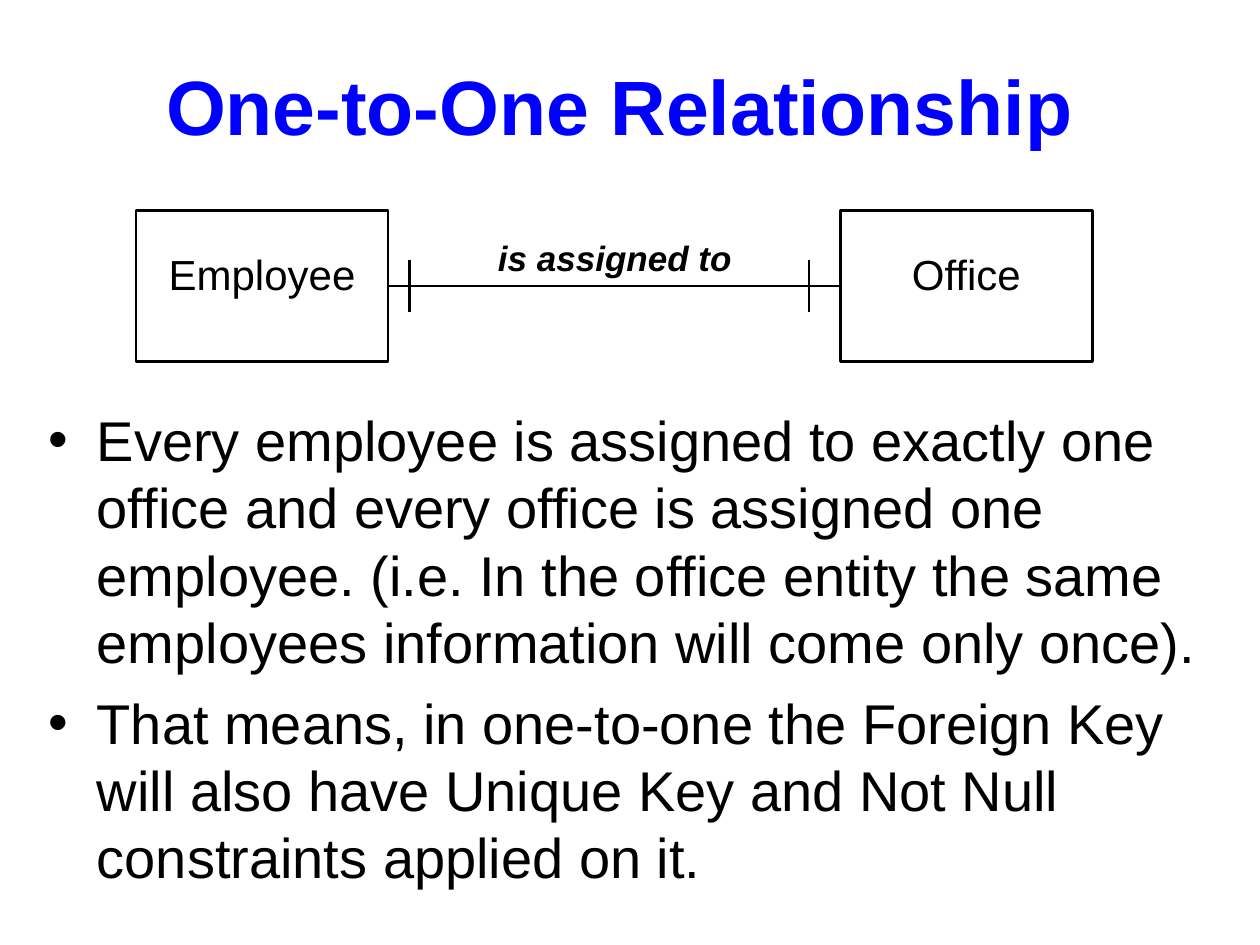
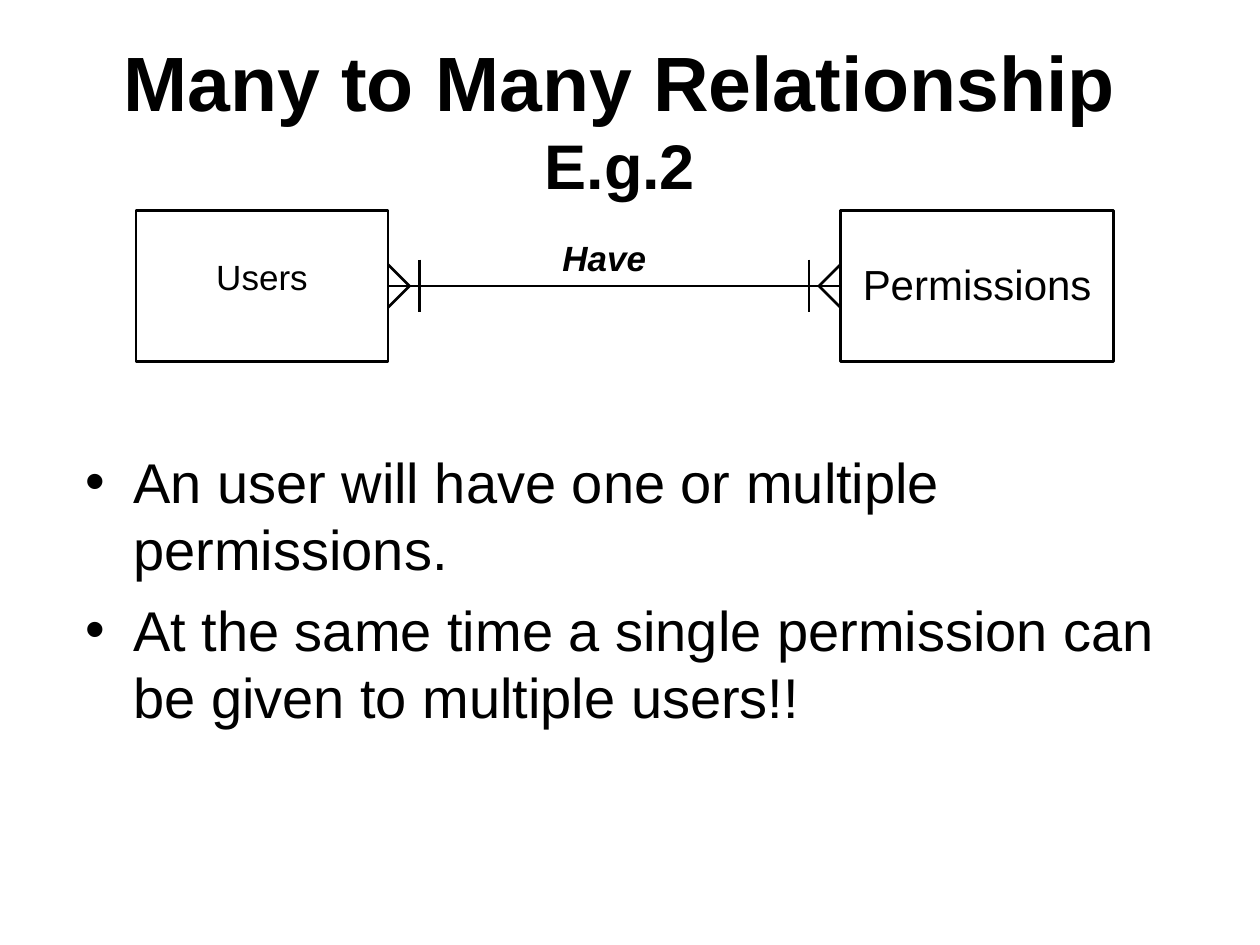
from lxml import etree
from pptx import Presentation
from pptx.dml.color import RGBColor
from pptx.enum import shapes, text
from pptx.oxml.ns import qn
from pptx.util import Inches, Pt

BLACK = RGBColor(0, 0, 0)
WHITE = RGBColor(255, 255, 255)
BLUE = RGBColor(0, 0, 255)
FONT = "Arial"
LINE_WIDTH = Pt(1.5)

ENTITY_TOP, ENTITY_HEIGHT = 1.67, 1.2
LEFT_ENTITY, RIGHT_ENTITY = 1.08, 6.67
ENTITY_WIDTH = 2
LEFT_EDGE = LEFT_ENTITY + ENTITY_WIDTH
AXIS = ENTITY_TOP + ENTITY_HEIGHT / 2
TICK_REACH = 0.21
FOOT_REACH = 0.17
BULLET_INDENT = Inches(0.38)


class RelationshipDeck:
    def __init__(self):
        self.deck = Presentation()
        self.deck.slide_width = Inches(10)
        self.deck.slide_height = Inches(7.5)
        self.slide = None

    def new_slide(self):
        self.slide = self.deck.slides.add_slide(self.deck.slide_layouts[6])

    def frame(self, left, top, width, height, anchor=text.MSO_ANCHOR.TOP):
        box = self.slide.shapes.add_textbox(
            Inches(left), Inches(top), Inches(width), Inches(height))
        box.text_frame.word_wrap = True
        box.text_frame.vertical_anchor = anchor
        return box.text_frame

    def run(self, paragraph, wording, size, color=BLACK, bold=False, italic=False):
        run = paragraph.add_run()
        run.text = wording
        run.font.name = FONT
        run.font.size = Pt(size)
        run.font.color.rgb = color
        run.font.bold = bold
        run.font.italic = italic

    def title(self, wording, height, color=BLACK, subtitle=None):
        frame = self.frame(0.67, 0.33, 8.5, height, text.MSO_ANCHOR.MIDDLE)
        heading = frame.paragraphs[0]
        heading.alignment = text.PP_ALIGN.CENTER
        self.run(heading, wording, 44, color, bold=True)
        if subtitle:
            heading.add_line_break()
            self.run(heading, subtitle, 36, color, bold=True)

    def label(self, wording, left, top, width, size, emphasis=False):
        caption = self.frame(left, top, width, size / 60 + 0.1).paragraphs[0]
        caption.alignment = text.PP_ALIGN.CENTER
        self.run(caption, wording, size, bold=emphasis, italic=emphasis)

    def entity(self, name, left, name_top, size=24, width=ENTITY_WIDTH):
        entity = self.slide.shapes.add_shape(
            shapes.MSO_SHAPE.RECTANGLE, Inches(left), Inches(ENTITY_TOP),
            Inches(width), Inches(ENTITY_HEIGHT))
        entity.shadow.inherit = False
        entity.fill.solid()
        entity.fill.fore_color.rgb = WHITE
        entity.line.color.rgb = BLACK
        entity.line.width = LINE_WIDTH
        self.label(name, left, name_top, width, size)
        return entity

    def line(self, x1, y1, x2, y2):
        line = self.slide.shapes.add_connector(
            shapes.MSO_CONNECTOR.STRAIGHT,
            Inches(x1), Inches(y1), Inches(x2), Inches(y2))
        line.line.color.rgb = BLACK
        line.line.width = LINE_WIDTH
        etree.SubElement(line._element.spPr, qn("a:effectLst"))
        return line

    def relationship(self, source, target, verb, left, width):
        link = self.line(LEFT_EDGE, AXIS, RIGHT_ENTITY, AXIS)
        link.begin_connect(source, 3)
        link.end_connect(target, 1)
        self.label(verb, left, 1.83, width, 20, emphasis=True)

    def one_tick(self, x):
        self.line(x, AXIS - TICK_REACH, x, AXIS + TICK_REACH)

    def crow_foot(self, edge, apex):
        for reach in (-FOOT_REACH, FOOT_REACH):
            self.line(edge, AXIS + reach, apex, AXIS)

    def bullets(self, points, left, top, width, height):
        frame = self.frame(left, top, width, height)
        for index, point in enumerate(points):
            paragraph = frame.paragraphs[0] if index == 0 else frame.add_paragraph()
            if index:
                paragraph.space_before = Pt(8)
            properties = paragraph._p.get_or_add_pPr()
            properties.set("marL", str(BULLET_INDENT))
            properties.set("indent", str(-BULLET_INDENT))
            etree.SubElement(properties, qn("a:buFont"), typeface=FONT)
            etree.SubElement(properties, qn("a:buChar"), char="•")
            self.run(paragraph, point, 32)


def one_to_one(deck):
    deck.new_slide()
    deck.title("One-to-One Relationship", 1, BLUE)
    employee = deck.entity("Employee", LEFT_ENTITY, 1.92)
    office = deck.entity("Office", RIGHT_ENTITY, 1.92)
    deck.relationship(employee, office, "is assigned to", 3.67, 2.42)
    for x in (3.25, 6.42):
        deck.one_tick(x)
    deck.bullets([
        "Every employee is assigned to exactly one office and every office is "
        "assigned one employee. (i.e. In the office entity the same employees "
        "information will come only once).",
        "That means, in one-to-one the Foreign Key will also have Unique Key "
        "and Not Null constraints applied on it.",
    ], 0.29, 3.17, 9.42, 4.08)


def many_to_many(deck):
    deck.new_slide()
    deck.title("Many to Many Relationship", 1.22, subtitle="E.g.2")
    users = deck.entity("Users", LEFT_ENTITY, 1.98, size=20)
    permissions = deck.entity("Permissions", RIGHT_ENTITY, 2, width=2.17)
    deck.relationship(users, permissions, "Have ", 3.25, 3.17)
    for x in (3.33, 6.42):
        deck.one_tick(x)
    deck.crow_foot(LEFT_EDGE, LEFT_EDGE + FOOT_REACH)
    deck.crow_foot(RIGHT_ENTITY, RIGHT_ENTITY - FOOT_REACH)
    deck.bullets([
        "An user will have one or multiple permissions.",
        "At the same time a single permission can be given to multiple users!!",
    ], 0.58, 3.5, 9, 3)


def main():
    deck = RelationshipDeck()
    one_to_one(deck)
    many_to_many(deck)
    deck.deck.save("out.pptx")


if __name__ == "__main__":
    main()
